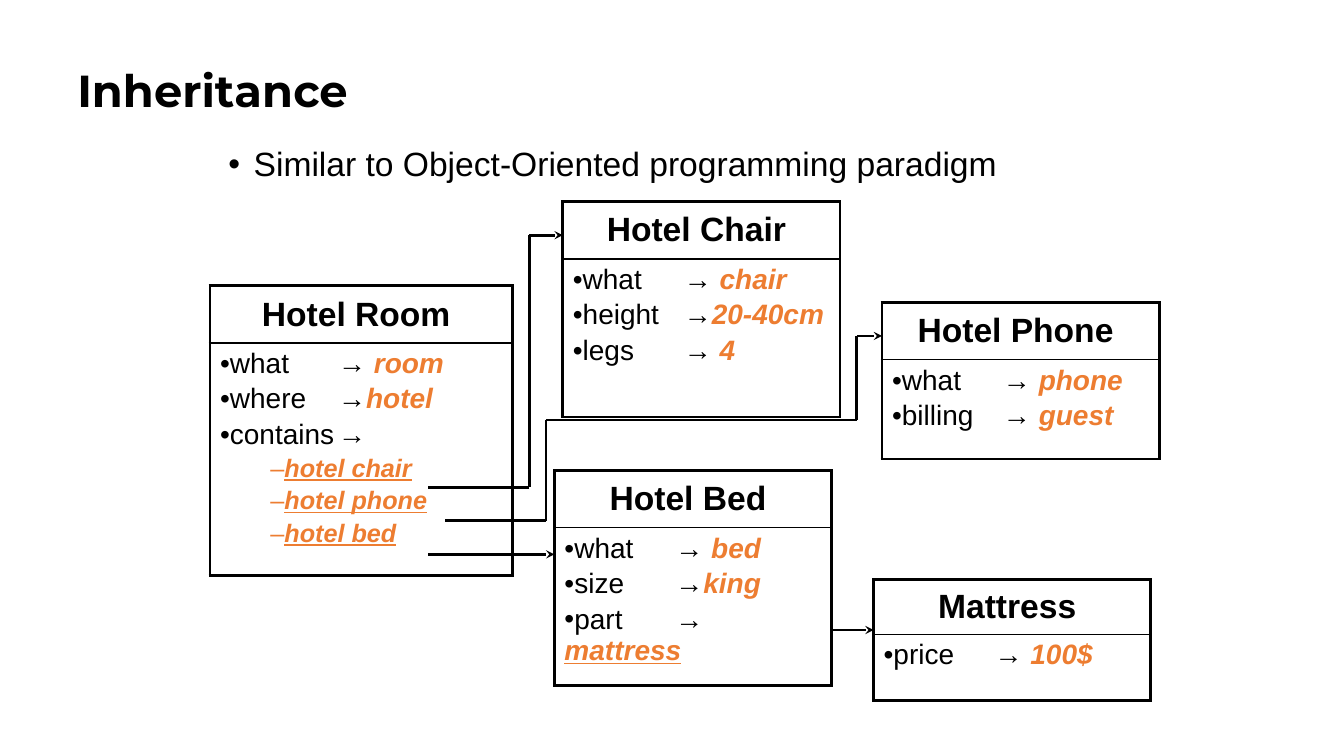
"""Build the Inheritance slide: hotel object frames joined by reference arrows."""
from itertools import pairwise

from lxml import etree
from pptx import Presentation
from pptx.dml.color import RGBColor
from pptx.enum.shapes import MSO_CONNECTOR
from pptx.enum.text import MSO_ANCHOR, PP_ALIGN
from pptx.oxml.ns import qn
from pptx.util import Inches, Pt

STRAIGHT = MSO_CONNECTOR.STRAIGHT
MIDDLE = MSO_ANCHOR.MIDDLE
LEFT, CENTER = PP_ALIGN.LEFT, PP_ALIGN.CENTER
COLORS = {"ink": "000000", "value": "ED7D31"}
UNIT = Inches(1) // 12
HEADER_ROWS = 6.84


def grid(*lengths):
    return [round(length * UNIT) for length in lengths]


def write(paragraph, text, size=20, color="ink", font="Arial", bold=False, italic=False,
          underline=False, align=LEFT, before=0, spacing=None, bullet=None,
          margin=0, indent=0, tab=None):
    paragraph.alignment = align
    paragraph.space_before = Pt(before)
    if spacing:
        paragraph.line_spacing = spacing
    properties = paragraph._p.get_or_add_pPr()
    if bullet:
        properties.set("marL", str(Inches(margin)))
        properties.set("indent", str(Inches(indent)))
        etree.SubElement(properties, qn("a:buFont"), typeface="Arial")
        etree.SubElement(properties, qn("a:buChar"), char=bullet)
    if tab:
        stops = etree.SubElement(properties, qn("a:tabLst"))
        etree.SubElement(stops, qn("a:tab"), pos=str(Inches(tab)), algn="l")
    run = paragraph.add_run()
    run.text = text
    run.font.size = Pt(size)
    run.font.name = font
    run.font.bold = bold
    run.font.italic = italic
    run.font.underline = underline
    run.font.color.rgb = RGBColor.from_string(COLORS[color])


prs = Presentation()
prs.slide_width, prs.slide_height = grid(160, 90)
slide = prs.slides.add_slide(prs.slide_layouts[1])

title, intro = slide.placeholders
title.left, title.top, title.width, title.height = grid(8, 3.6, 144, 15)
title.text_frame.vertical_anchor = MIDDLE
write(title.text_frame.paragraphs[0], "Inheritance", size=32, font="Montserrat",
      bold=True, spacing=0.9)
intro.left, intro.top, intro.width, intro.height = grid(26, 17, 108, 8)
write(intro.text_frame.paragraphs[0], "Similar to Object-Oriented programming paradigm",
      size=24, spacing=0.9, before=10, bullet="•", margin=0.25, indent=-0.25)

frames = [
    ("Hotel Room", 25, 34, 36, HEADER_ROWS, 27.7, 1.17,
     [("what", "→ ", "room"), ("where", "→", "hotel"), ("contains", "→", "")],
     ["hotel chair", "hotel phone", "hotel bed"]),
    ("Hotel Chair", 67, 24, 33, HEADER_ROWS, 18.8, 1.1,
     [("what", "→ ", "chair"), ("height", "→", "20-40cm"), ("legs", "→ ", "4")], []),
    ("Hotel Phone", 105, 36, 33, HEADER_ROWS, 11.8, 1.1,
     [("what", "→ ", "phone"), ("billing", "→ ", "guest")], []),
    ("Hotel Bed", 66, 56, 33, HEADER_ROWS, 18.8, 1.1,
     [("what", "→ ", "bed"), ("size", "→", "king"), ("part", "→ ", "mattress")], []),
    ("Mattress", 104, 69, 33, 6.5, 7.9, 1.1, [("price", "→ ", "100$")], []),
]

for name, column, row, width, header_height, slots_height, tab, slots, parts in frames:
    frame = slide.shapes.add_table(
        2, 1, *grid(column, row, width, header_height + slots_height)).table
    frame.first_row = frame.horz_banding = False
    frame.rows[0].height, frame.rows[1].height = grid(header_height, slots_height)
    header, body = frame.cell(0, 0), frame.cell(1, 0)

    for cell, top, bottom in ((header, 2.25, 1), (body, 1, 2.25)):
        properties = cell._tc.get_or_add_tcPr()
        for side, weight in (("L", 2.25), ("R", 2.25), ("T", top), ("B", bottom)):
            border = etree.SubElement(properties, qn(f"a:ln{side}"), w=str(Pt(weight)))
            paint = etree.SubElement(border, qn("a:solidFill"))
            etree.SubElement(paint, qn("a:srgbClr"), val=COLORS["ink"])
        cell.fill.background()

    header.vertical_anchor = MIDDLE
    header.margin_right = Inches(0.2)
    write(header.text_frame.paragraphs[0], name, size=24, bold=True, align=CENTER)

    text = body.text_frame
    for index, (slot, arrow, value) in enumerate(slots):
        line = text.add_paragraph() if index else text.paragraphs[0]
        before = 3 if index else 0
        write(line, f"{slot}\t{arrow}", before=before, bullet="•", tab=tab)
        if slot == "part":
            line.add_line_break()
        if value:
            write(line, value, color="value", bold=True, italic=True,
                  underline=slot == "part", before=before)
    for part in parts:
        write(text.add_paragraph(), part, size=18, color="value", bold=True, italic=True,
              underline=True, before=3, bullet="–", margin=0.5)

routes = [
    [(51, 58), (63, 58), (63, 28), (67, 28)],
    [(53, 62), (65, 62), (65, 50), (102, 50), (102, 40), (105, 40)],
    [(51, 66), (66, 66)],
    [(99, 75), (104, 75)],
]
for route in routes:
    for start, end in pairwise(route):
        reference = slide.shapes.add_connector(STRAIGHT, *grid(*start, *end))
        reference.line.width = Pt(2)
        reference.line.color.rgb = RGBColor.from_string(COLORS["ink"])
        if end == route[-1]:
            etree.SubElement(reference.line._get_or_add_ln(), qn("a:tailEnd"), type="stealth")
        etree.SubElement(reference._element.spPr, qn("a:effectLst"))

prs.save("out.pptx")
